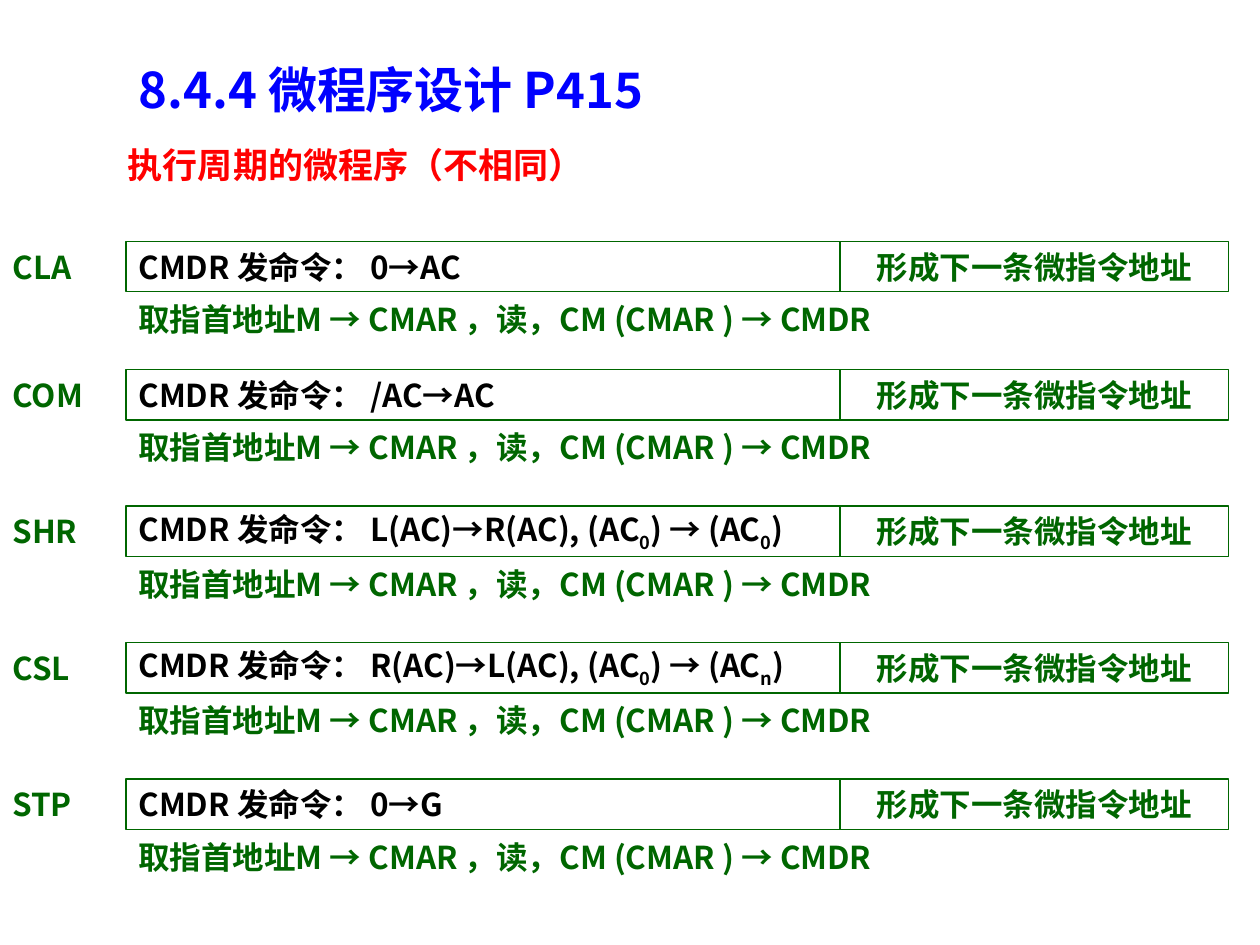
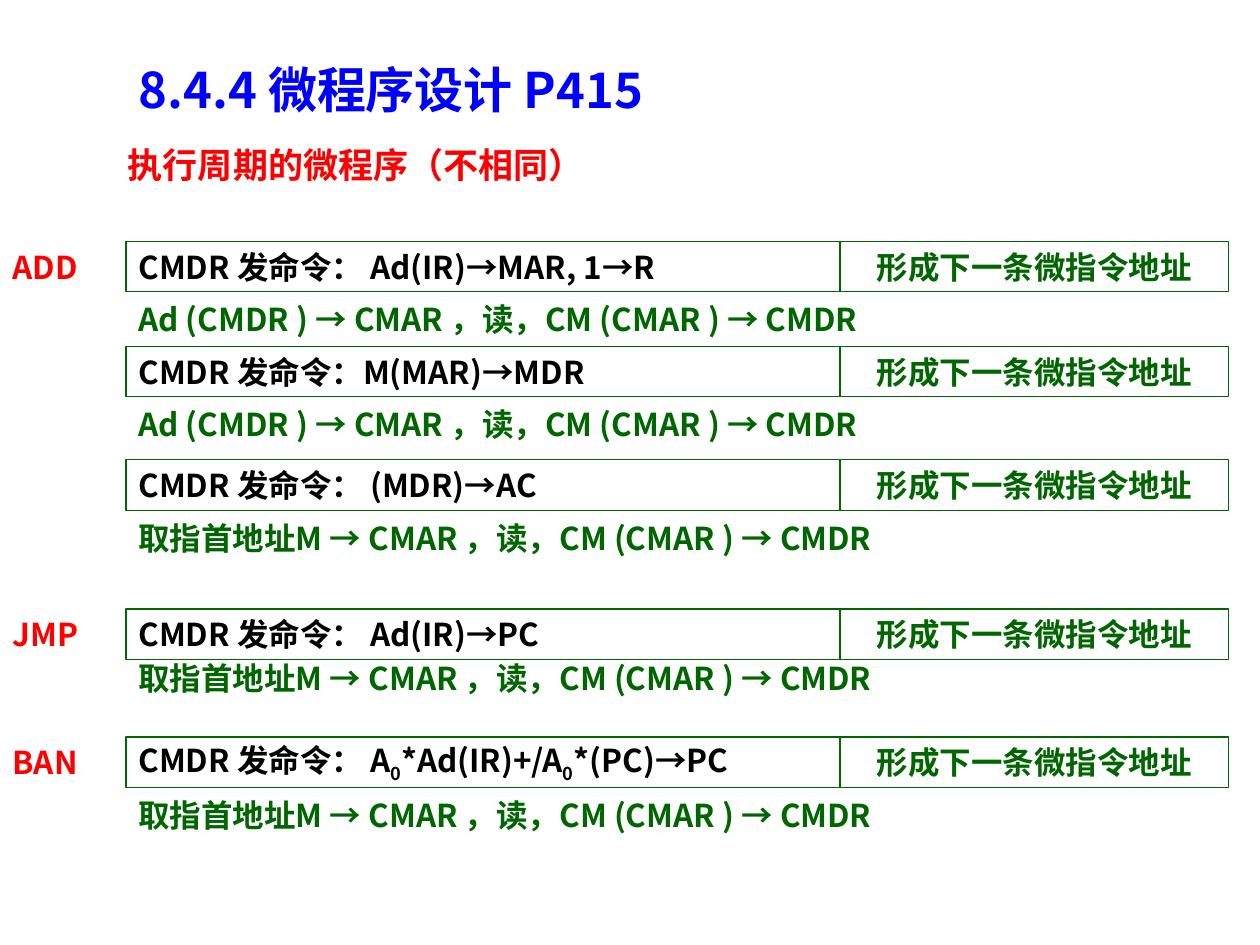
from pptx import Presentation
from pptx.dml.color import RGBColor
from pptx.enum.shapes import MSO_SHAPE as Geo
from pptx.enum.text import MSO_ANCHOR as Anchor, PP_ALIGN as Align
from pptx.oxml.ns import qn
from pptx.util import Inches, Pt

FONT = "Noto Sans CJK SC"
GREEN, RED, BLUE, BLACK = "006600", "FF0000", "0000FF", "000000"
UNIT = 12  # grid cells to the inch, both ways
HIGH = 4.8  # height of one line box
DOWN = 5  # from the top of a step to its note

TITLE = "8.4.4 微程序设计 P415"
HEAD = "执行周期的微程序（不相同）"
SEND = "CMDR 发命令："
NEXT = "形成下一条微指令地址"
READ = "CMAR ，读，CM (CMAR ) → CMDR"
FETCH = f"取指首地址M → {READ}"
JUMP = f"Ad (CMDR ) → {READ}"

# One step: tag, command (_ lowers the next character), note
BASIC = [
    ("CLA", " 0→AC", FETCH),
    ("COM", " /AC→AC", FETCH),
    ("SHR", " L(AC)→R(AC), (AC_0) → (AC_0)", FETCH),
    ("CSL", " R(AC)→L(AC), (AC_0) → (AC_n)", FETCH),
    ("STP", " 0→G", FETCH),
]
ACCESS = [
    ("ADD", " Ad(IR)→MAR, 1→R", JUMP),
    ("", "M(MAR)→MDR", JUMP),
    ("", " (MDR)→AC", FETCH),
    ("JMP", " Ad(IR)→PC", FETCH),
    ("BAN", " A_0*Ad(IR)+/A_0*(PC)→PC", FETCH),
]
BASIC_ROWS = [23] + [35.2 + 13 * i for i in range(4)]
ACCESS_ROWS = [23, 33, 43.8, 58, 70.2]


def paint(hue):
    return RGBColor.from_string(hue)


def cells(*nums):
    return [Inches(n / UNIT) for n in nums]


class Deck:
    def __init__(self):
        self.prs = Presentation()
        self.prs.slide_width, self.prs.slide_height = cells(120, 90)
        self.slide = None

    def add_run(self, para, text, size, hue, low=False):
        run = para.add_run()
        run.text = text
        font = run.font
        font.name, font.size, font.bold = FONT, Pt(size), True
        font.color.rgb = paint(hue)
        props = run._r.get_or_add_rPr()
        east = props.makeelement(qn("a:ea"), {"typeface": FONT})
        props.find(qn("a:latin")).addnext(east)
        if low:
            props.set("baseline", "-25000")

    def put_text(self, shape, text, size=18, hue=GREEN, align=Align.LEFT):
        """Fill a shape with one line; _ lowers the next character."""
        frame = shape.text_frame
        frame.word_wrap = True
        frame.vertical_anchor = Anchor.MIDDLE
        frame.margin_top = frame.margin_bottom = 0
        para = frame.paragraphs[0]
        para.alignment = align
        first, *rest = text.split("_")
        self.add_run(para, first, size, hue)
        for part in rest:
            self.add_run(para, part[0], size, hue, low=True)
            self.add_run(para, part[1:], size, hue)

    def title(self, text):
        self.slide = self.prs.slides.add_slide(self.prs.slide_layouts[5])
        shape = self.slide.shapes.title
        shape.left, shape.top, shape.width, shape.height = cells(12, 5, 97, 6.9)
        self.put_text(shape, text, size=28, hue=BLUE)

    def label(self, col, row, text, wide=105, high=HIGH, **style):
        box = self.slide.shapes.add_textbox(*cells(col, row, wide, high))
        self.put_text(box, text, **style)

    def box(self, col, row, wide, text, **style):
        shape = self.slide.shapes.add_shape(
            Geo.RECTANGLE, *cells(col, row, wide, HIGH))
        shape.shadow.inherit = False
        shape.fill.background()
        shape.line.color.rgb = paint(GREEN)
        shape.line.width = Pt(0.75)
        self.put_text(shape, text, **style)

    def step(self, row, tag, order, note, hue, drop):
        if tag:
            self.label(0, row, tag, hue=hue)
        self.box(12, row, 68, SEND + order, hue=BLACK)
        self.box(80, row, 37, NEXT, align=Align.CENTER)
        self.label(12, row + drop, note)

    def page(self, steps, rows, hue, tight=()):
        """Add a slide of steps; notes of the tight tags sit closer."""
        self.title(TITLE)
        self.label(11, 13, HEAD, wide=82, high=5.3, size=20, hue=RED)
        for row, (tag, order, note) in zip(rows, steps):
            drop = 4.2 if tag in tight else DOWN
            self.step(row, tag, order, note, hue, drop)


def main():
    deck = Deck()
    deck.page(BASIC, BASIC_ROWS, GREEN)
    deck.page(ACCESS, ACCESS_ROWS, RED, tight=("JMP",))
    deck.prs.save("out.pptx")


if __name__ == "__main__":
    main()
